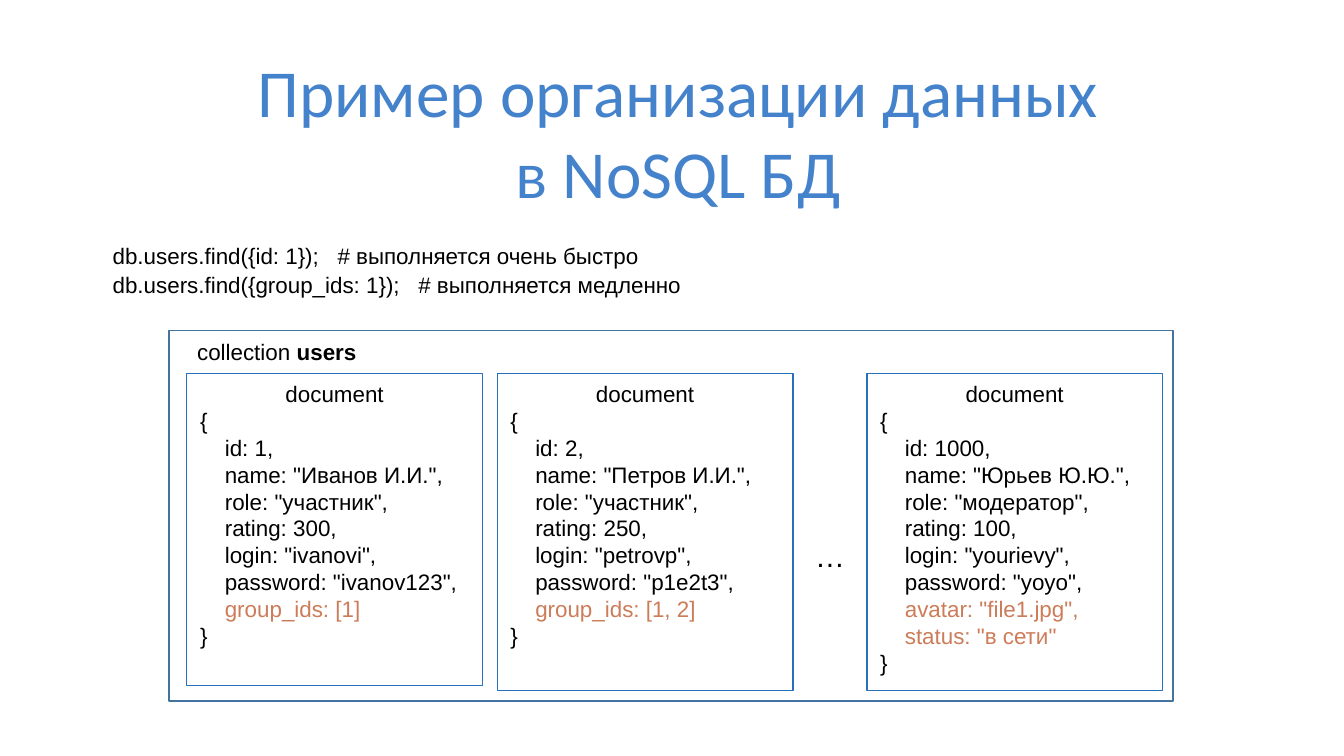
from pptx import Presentation
from pptx.dml.color import RGBColor
from pptx.enum.shapes import MSO_SHAPE
from pptx.enum.text import MSO_ANCHOR, PP_ALIGN
from pptx.util import Inches, Pt

COLORS = {"title": "4482CC", "text": "000000", "accent": "CC7C58",
          "frame": "43739E", "document": "2572BB", "white": "FFFFFF"}

QUERIES = ["db.users.find({id: 1});   # выполняется очень быстро",
           "db.users.find({group_ids: 1});   # выполняется медленно"]

DOCUMENTS = [
    (0.13, 2.32,
     ["id: 1,", 'name: "Иванов И.И.",', 'role: "участник",', "rating: 300,",
      'login: "ivanovi",', 'password: "ivanov123",'],
     ["group_ids: [1]"]),
    (2.44, 2.36,
     ["id: 2,", 'name: "Петров И.И.",', 'role: "участник",', "rating: 250,",
      'login: "petrovp",', 'password: "p1e2t3",'],
     ["group_ids: [1, 2]"]),
    (5.19, 2.36,
     ["id: 1000,", 'name: "Юрьев Ю.Ю.",', 'role: "модератор",', "rating: 100,",
      'login: "yourievy",', 'password: "yoyo",'],
     ['avatar: "file1.jpg",', 'status: "в сети"']),
]


def rgb(name):
    """Return the named colour."""
    return RGBColor.from_string(COLORS[name])


def add_run(p, text, color="text", **font):
    """Append a run with the given font values."""
    r = p.add_run()
    r.text = text
    r.font.color.rgb = rgb(color)
    for key, value in {"name": "Arial", "size": Pt(12), **font}.items():
        setattr(r.font, key, value)


def add_line(tf, i, align=PP_ALIGN.LEFT):
    """Return paragraph i of a text frame, adding it after the first."""
    p = tf.add_paragraph() if i else tf.paragraphs[0]
    p.alignment = align
    return p


def add_text(shapes, x, y, w, h):
    """Add a wrapping text box and return its text frame."""
    tf = shapes.add_textbox(*map(Inches, (x, y, w, h))).text_frame
    tf.word_wrap = True
    return tf


def add_box(shapes, x, y, w, h, line, width, fill=None):
    """Add an outlined rectangle."""
    sp = shapes.add_shape(MSO_SHAPE.RECTANGLE, *map(Inches, (x, y, w, h)))
    sp.shadow.inherit = False
    sp.line.color.rgb = rgb(line)
    sp.line.width = Pt(width)
    if fill:
        sp.fill.solid()
        sp.fill.fore_color.rgb = rgb(fill)
    else:
        sp.fill.background()
    return sp


def add_title(s, text, x, y, w, h):
    """Place and format the slide title."""
    sp = s.shapes.title
    sp.left, sp.top, sp.width, sp.height = map(Inches, (x, y, w, h))
    tf = sp.text_frame
    tf.word_wrap = True
    tf.vertical_anchor = MSO_ANCHOR.MIDDLE
    add_run(add_line(tf, 0, PP_ALIGN.CENTER), text, "title", name="Calibri", size=Pt(36))


def add_queries(s, x, y, w, h):
    """Place the sample queries."""
    tf = add_text(s.shapes, x, y, w, h)
    for i, query in enumerate(QUERIES):
        p = add_line(tf, i)
        p.line_spacing = 1.1
        add_run(p, query)


def add_document(shapes, x, y, w, h, fields, extras):
    """Draw one document with its common and extra fields."""
    tf = add_box(shapes, x, y, w, h, "document", 0.75, "white").text_frame
    tf.word_wrap = True
    tf.vertical_anchor = MSO_ANCHOR.TOP
    add_run(add_line(tf, 0, PP_ALIGN.CENTER), "document")
    lines = [("{", "text"), *((f"    {f}", "text") for f in fields),
             *((f"    {f}", "accent") for f in extras), ("}", "text")]
    for i, (text, color) in enumerate(lines, 1):
        add_run(add_line(tf, i), text, color)


def add_collection(s, x, y, w, h):
    """Draw the users collection with its documents."""
    shapes = s.shapes.add_group_shape().shapes
    add_box(shapes, x, y, w, h, "frame", 1)
    p = add_line(add_text(shapes, x, y + 0.01, 1.6, 0.3), 0, PP_ALIGN.CENTER)
    add_run(p, "collection ")
    add_run(p, "users", bold=True)
    for dx, height, fields, extras in DOCUMENTS:
        add_document(shapes, x + dx, y + 0.32, 2.2, height, fields, extras)
    p = add_line(add_text(shapes, x + 4.64, y + 1.49, 0.55, 0.37), 0, PP_ALIGN.CENTER)
    add_run(p, "…", size=Pt(16))


def main():
    """Build and save the slide."""
    prs = Presentation()
    prs.slide_width = Inches(10)
    prs.slide_height = prs.slide_width * 9 // 16
    s = prs.slides.add_slide(prs.slide_layouts[5])
    add_title(s, "Пример организации данных в NoSQL БД", 1.76, 0.32, 6.57, 1.31)
    add_queries(s, 0.74, 1.73, 8.6, 0.55)
    add_collection(s, 1.26, 2.46, 7.47, 2.76)
    prs.save("out.pptx")


if __name__ == "__main__":
    main()
